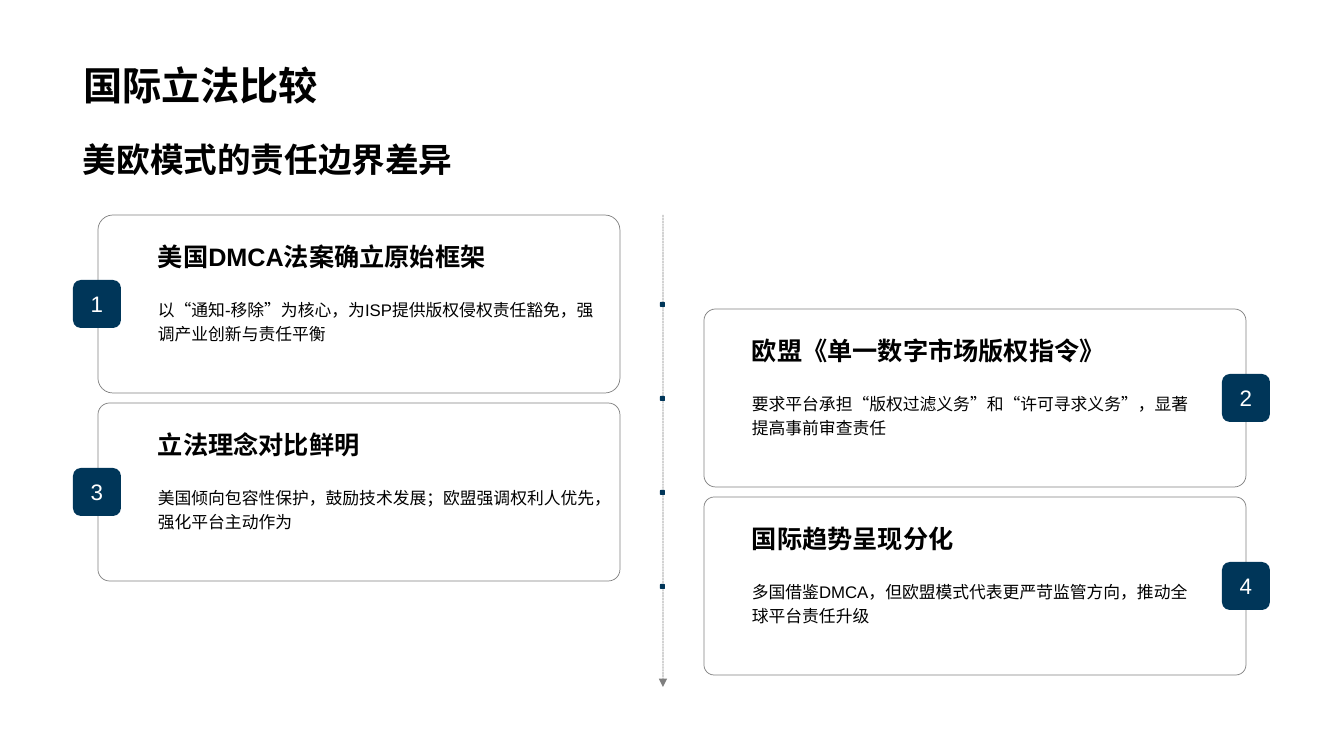
from lxml.etree import SubElement
from pptx import Presentation
from pptx.dml.color import RGBColor
from pptx.enum.dml import MSO_LINE
from pptx.enum.shapes import MSO_CONNECTOR, MSO_SHAPE
from pptx.enum.text import MSO_ANCHOR, MSO_AUTO_SIZE, PP_ALIGN
from pptx.oxml.ns import qn
from pptx.util import Pt

PX = 914400 / 100.8
BLACK = RGBColor(0x00, 0x00, 0x00)
WHITE = RGBColor(0xFF, 0xFF, 0xFF)
NAVY = RGBColor(0x00, 0x36, 0x59)

CARD_TOP, CARD_STEP, CARD_HEIGHT = 215, 94, 178
BADGE_SIZE, DOT_SIZE = 48, 5
AXIS_X, AXIS_END = 663, 687

# Per side: card left, card width, text left, badge left
SIDES = [(98, 522, 148, 73), (704, 542, 742, 1222)]
POINTS = [
    ("美国DMCA法案确立原始框架",
     "以“通知-移除”为核心，为ISP提供版权侵权责任豁免，强调产业创新与责任平衡", 0.084),
    ("欧盟《单一数字市场版权指令》",
     "要求平台承担“版权过滤义务”和“许可寻求义务”，显著提高事前审查责任", 0.065),
    ("立法理念对比鲜明",
     "美国倾向包容性保护，鼓励技术发展；欧盟强调权利人优先，强化平台主动作为", 0.065),
    ("国际趋势呈现分化",
     "多国借鉴DMCA，但欧盟模式代表更严苛监管方向，推动全球平台责任升级", 0.057),
]


def px(*lengths):
    return [round(length * PX) for length in lengths]


def write(holder, text, size, color=BLACK, bold=False, anchor=MSO_ANCHOR.MIDDLE,
          align=PP_ALIGN.LEFT, spacing=1.0, wrap=True):
    frame = holder.text_frame
    frame.text = text
    frame.word_wrap = wrap
    frame.auto_size = MSO_AUTO_SIZE.NONE
    frame.vertical_anchor = anchor
    paragraph = frame.paragraphs[0]
    paragraph.alignment = align
    paragraph.line_spacing = spacing
    font = paragraph.runs[0].font
    font.name, font.size, font.bold = "Arial", Pt(size), bold
    font.color.rgb = color


deck = Presentation()
deck.slide_width, deck.slide_height = px(1344, 756)
slide = deck.slides.add_slide(deck.slide_layouts[5])
shapes = slide.shapes

# Title and subtitle
title = shapes.title
title.left, title.top, title.width, title.height = px(73, 14, 1198, 99)
write(title, "国际立法比较", 28, bold=True, anchor=MSO_ANCHOR.BOTTOM)
subtitle = shapes.add_textbox(*px(73, 125, 1198, 69))
write(subtitle, "美欧模式的责任边界差异", 24, bold=True)

# Central dashed arrow
axis = shapes.add_connector(MSO_CONNECTOR.STRAIGHT,
                            *px(AXIS_X, CARD_TOP, AXIS_X, AXIS_END))
axis.line.dash_style = MSO_LINE.SQUARE_DOT
outlines = [axis.line]
SubElement(axis._element.spPr, qn("a:effectLst"))

for index, (heading, detail, corner) in enumerate(POINTS):
    top = CARD_TOP + index * CARD_STEP
    card_left, card_width, text_left, badge_left = SIDES[index % 2]

    # Dot on the axis
    dot = shapes.add_shape(MSO_SHAPE.ROUNDED_RECTANGLE,
                           *px(AXIS_X - 3, top + 87, DOT_SIZE, DOT_SIZE))

    # Card outline
    card = shapes.add_shape(MSO_SHAPE.ROUNDED_RECTANGLE,
                            *px(card_left, top, card_width, CARD_HEIGHT))
    card.adjustments[0] = corner
    card.shadow.inherit = False
    card.fill.background()
    outlines.append(card.line)

    # Heading and detail
    heading_box = shapes.add_textbox(*px(text_left, top + 12, 469, 53))
    write(heading_box, heading, 18, bold=True, spacing=1.2)
    detail_box = shapes.add_textbox(*px(text_left, top + 76, 469, 94))
    write(detail_box, detail, 12, anchor=MSO_ANCHOR.TOP, spacing=1.2)

    # Numbered badge
    badge = shapes.add_shape(MSO_SHAPE.ROUNDED_RECTANGLE,
                             *px(badge_left, top + 65, BADGE_SIZE, BADGE_SIZE))
    write(badge, str(index + 1), 16, WHITE, align=PP_ALIGN.CENTER, wrap=False)
    for marker in (dot, badge):
        marker.shadow.inherit = False
        marker.fill.solid()
        marker.fill.fore_color.rgb = NAVY
        marker.line.fill.background()

# Half-transparent thin outlines, with an arrowhead on the axis
for outline in outlines:
    outline.width = Pt(0.5)
    outline.color.rgb = BLACK
    color = outline._ln.find(".//" + qn("a:srgbClr"))
    SubElement(color, qn("a:alpha"), val="50000")
SubElement(axis.line._ln, qn("a:tailEnd"), type="triangle")

deck.save("out.pptx")
